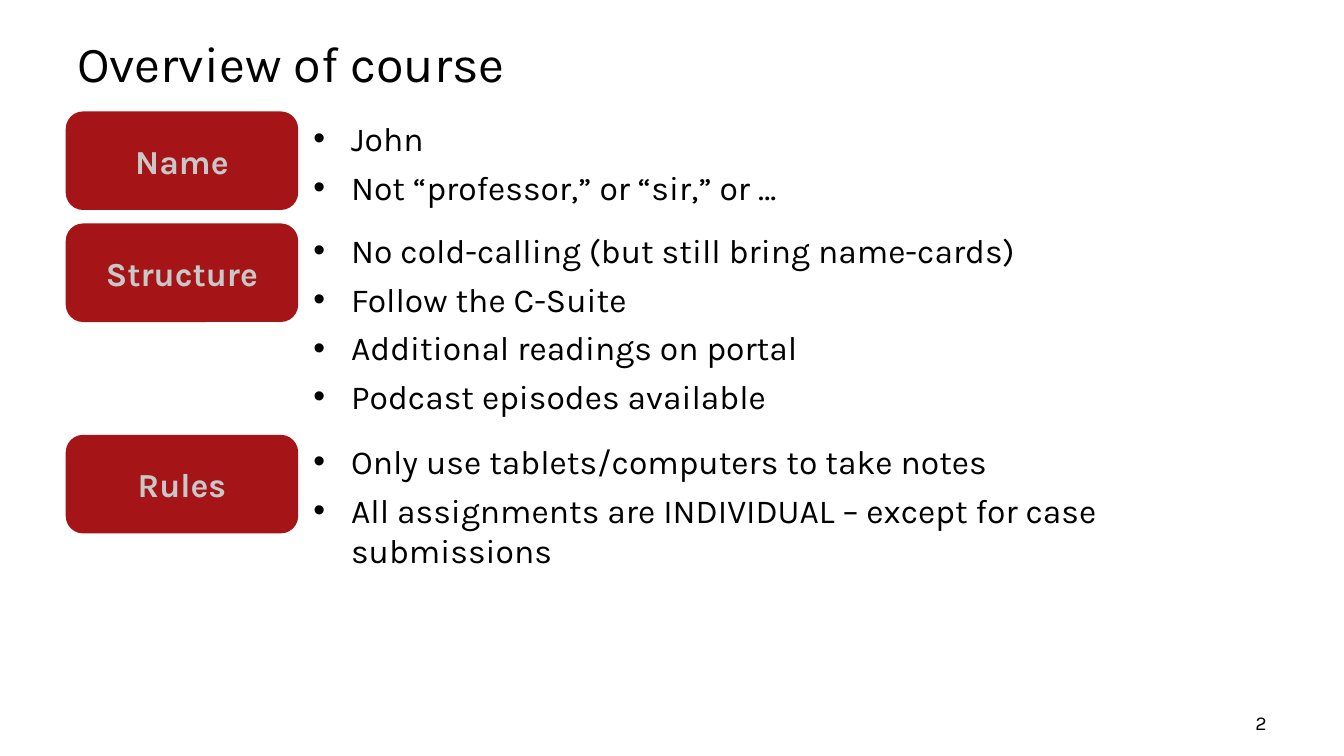
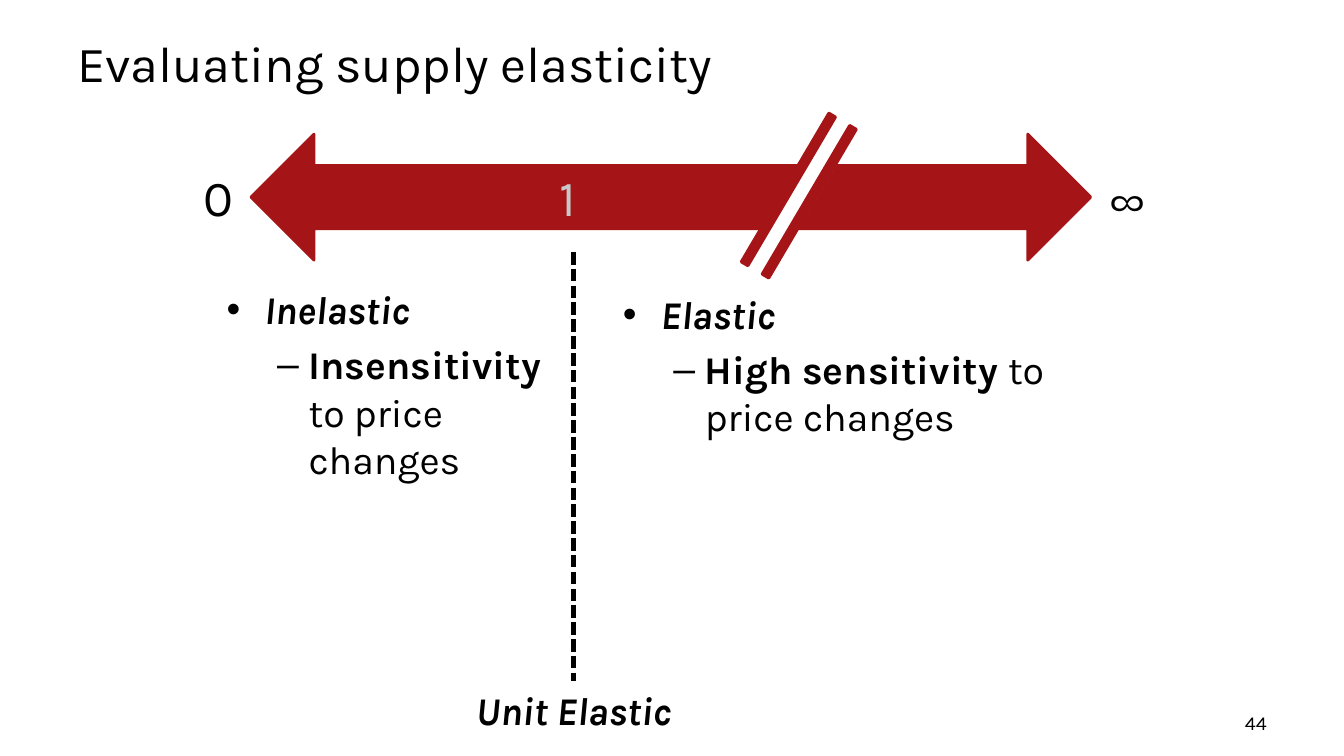
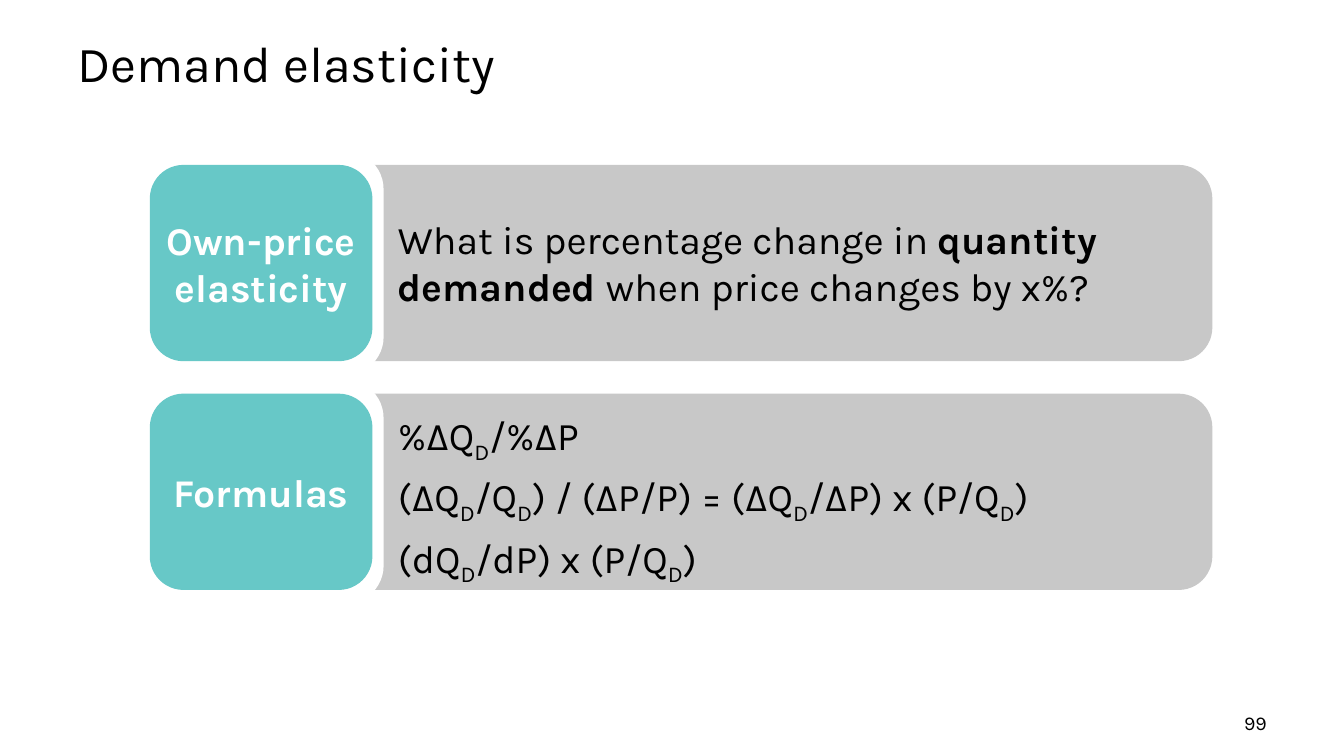
from lxml import etree
from pptx import Presentation
from pptx.dml.color import RGBColor
from pptx.enum import dml, shapes, text
from pptx.oxml import ns
from pptx.util import Pt

FONT = "Karla"
BLACK = RGBColor(0x00, 0x00, 0x00)
WHITE = RGBColor(0xFF, 0xFF, 0xFF)
RED = RGBColor(0xA5, 0x14, 0x17)
GRAY = RGBColor(0xC8, 0xC8, 0xC8)
TEAL = RGBColor(0x67, 0xC8, 0xC7)
BLANK_LAYOUT = 6
SHAPE = shapes.MSO_SHAPE
ALIGN = text.PP_ALIGN
MIDDLE = text.MSO_ANCHOR.MIDDLE
BULLETS = [("•", 27, -27), ("–", 58.5, -22.5)]


def add_runs(paragraph, runs, size, color, bold=False):
    for wording, style in runs:
        run = paragraph.add_run()
        run.text = wording
        run.font.name = FONT
        run.font.size = Pt(size)
        run.font.color.rgb = color
        run.font.bold = bold or "bold" in style
        run.font.italic = "italic" in style
        if "sub" in style:
            run.font._element.set("baseline", "-25000")


def fill_frame(frame, paragraphs, size, color=BLACK, align=ALIGN.LEFT,
               bold=False, before=0, after=0, bulleted=False):
    for index, runs in enumerate(paragraphs):
        paragraph = frame.paragraphs[0] if index == 0 else frame.add_paragraph()
        paragraph.alignment = align
        paragraph.space_before = Pt(before if index else 0)
        paragraph.space_after = Pt(after)
        if bulleted:
            add_bullet(paragraph)
        add_runs(paragraph, runs, size, color, bold)


def add_bullet(paragraph, level=0):
    mark, margin, indent = BULLETS[level]
    paragraph.level = level
    properties = paragraph._p.get_or_add_pPr()
    properties.set("marL", str(Pt(margin)))
    properties.set("indent", str(Pt(indent)))
    for tag in ("a:buFont", "a:buChar"):
        for previous in properties.findall(ns.qn(tag)):
            properties.remove(previous)
    etree.SubElement(properties, ns.qn("a:buFont"), typeface="Arial")
    etree.SubElement(properties, ns.qn("a:buChar"), char=mark)


def add_text(slide, left, top, width, height, paragraphs, size, wrap=True,
             anchor=text.MSO_ANCHOR.TOP, **style):
    box = slide.shapes.add_textbox(Pt(left), Pt(top), Pt(width), Pt(height))
    box.text_frame.word_wrap = wrap
    box.text_frame.vertical_anchor = anchor
    fill_frame(box.text_frame, paragraphs, size, **style)
    return box


def add_block(slide, kind, left, top, width, height, color, outlined=True):
    block = slide.shapes.add_shape(kind, Pt(left), Pt(top), Pt(width), Pt(height))
    block.shadow.inherit = False
    block.fill.solid()
    block.fill.fore_color.rgb = color
    if outlined:
        block.line.color.rgb = color
        block.line.width = Pt(2)
    else:
        block.line.fill.background()
    return block


def add_label(block, wording, size, color):
    frame = block.text_frame
    frame.word_wrap = True
    frame.vertical_anchor = MIDDLE
    fill_frame(frame, [plain(wording)], size, color, ALIGN.CENTER, bold=True)


def plain(wording):
    return [(wording, "")]


def formula(wording):
    first, *rest = wording.split("_")
    runs = [(first, "")]
    for part in rest:
        runs += [(part[0], "sub"), (part[1:], "")]
    return runs


def add_slide(deck, title, number):
    slide = deck.slides.add_slide(deck.slide_layouts[BLANK_LAYOUT])
    add_text(slide, 48, 18.7, 864, 51, [plain(title)], 36, anchor=MIDDLE)
    add_text(slide, 688, 504, 224, 24.5, [plain(number)], 14, align=ALIGN.RIGHT)
    return slide


def add_overview(deck):
    slide = add_slide(deck, "Overview of course", "2")
    topics = [
        ("Name", 71, ["John", "Not “professor,” or “sir,” or …"]),
        ("Structure", 142, ["No cold-calling (but still bring name-cards)",
                            "Follow the C-Suite",
                            "Additional readings on portal",
                            "Podcast episodes available"]),
        ("Rules", 101, ["Only use tablets/computers to take notes",
                        "All assignments are INDIVIDUAL – except for case submissions"]),
    ]
    top, gap = 80.6, 9
    for topic, height, points in topics:
        block = add_block(slide, SHAPE.ROUNDED_RECTANGLE, 48, top, 164, 68.4, RED)
        add_label(block, topic, 24, GRAY)
        add_text(slide, 216.7, top, 615.6, height, [plain(point) for point in points],
                 24, after=6, bulleted=True)
        top += height + gap


def add_elasticity_range(slide, left, top, width, height, name, strength, before, after):
    paragraphs = [[(name, "bold italic")],
                  [(strength + " ", "bold"), ("to price changes", "")]]
    box = add_text(slide, left, top, width, height, paragraphs, 28,
                   before=before, after=after, bulleted=True)
    add_bullet(box.text_frame.paragraphs[1], level=1)


def add_supply(deck):
    slide = add_slide(deck, "Evaluating supply elasticity", "44")
    add_block(slide, SHAPE.LEFT_RIGHT_ARROW, 179.3, 95.8, 599.8, 90, RED)
    for value, left, width, color in [("0", 138.2, 33, BLACK), ("∞", 786.2, 43, BLACK),
                                      ("1", 392.4, 33, GRAY)]:
        add_text(slide, left, 115.2, width, 51, [plain(value)], 36, wrap=False, color=color)

    break_gap = add_block(slide, SHAPE.RECTANGLE, 507.6, 128.2, 126, 23.8, WHITE, outlined=False)
    break_bars = add_block(slide, SHAPE.MATH_EQUAL, 486.7, 118.8, 167.8, 41.8, RED)
    break_bars.adjustments[0] = 0.133
    break_bars.adjustments[1] = 0.281
    for part in (break_gap, break_bars):
        part.rotation = 300.5

    unit_elastic = add_text(slide, 331.2, 486.5, 157, 41, [[("Unit Elastic", "bold italic")]],
                            28, align=ALIGN.CENTER)
    divider = slide.shapes.add_connector(shapes.MSO_CONNECTOR.STRAIGHT,
                                         Pt(409.7), Pt(180), Pt(409.7), Pt(486.5))
    divider.end_connect(unit_elastic, 0)
    divider.line.color.rgb = BLACK
    divider.line.width = Pt(3)
    divider.line.dash_style = dml.MSO_LINE.SQUARE_DOT
    etree.SubElement(divider._element.spPr, ns.qn("a:effectLst"))

    add_elasticity_range(slide, 437.8, 203.8, 318.2, 116, "Elastic", "High sensitivity", 5.6, 0)
    add_elasticity_range(slide, 154.8, 200.2, 241.2, 154, "Inelastic", "Insensitivity", 0, 6)


def add_demand(deck):
    slide = add_slide(deck, "Demand elasticity", "99")
    question = [("What is percentage change in ", ""), ("quantity demanded ", "bold"),
                ("when price changes by x%?", "")]
    formulas = ["%ΔQ_D/%ΔP", "(ΔQ_D/Q_D) / (ΔP/P) = (ΔQ_D/ΔP) x (P/Q_D)", "(dQ_D/dP) x (P/Q_D)"]
    cards = [("Own-price elasticity", 75, [question]),
             ("Formulas", 122.4, [formula(line) for line in formulas])]
    card_height, rim = 138.2, 10
    for index, (heading, text_height, paragraphs) in enumerate(cards):
        top = 118.8 + index * 163.4
        add_block(slide, SHAPE.ROUNDED_RECTANGLE, 217.4, top, 647.6, card_height, GRAY)
        add_block(slide, SHAPE.ROUNDED_RECTANGLE, 108, top - rim, 165, card_height + 2 * rim, WHITE)
        block = add_block(slide, SHAPE.ROUNDED_RECTANGLE, 108, top, 157, card_height, TEAL)
        block.text_frame.margin_left = block.text_frame.margin_right = 0
        add_label(block, heading, 28, WHITE)
        add_text(slide, 277.2, top + (card_height - text_height) / 2, 581, text_height,
                 paragraphs, 28, before=5.6)


def main():
    deck = Presentation()
    deck.slide_width, deck.slide_height = Pt(960), Pt(540)
    add_overview(deck)
    add_supply(deck)
    add_demand(deck)
    deck.save("out.pptx")


if __name__ == "__main__":
    main()
